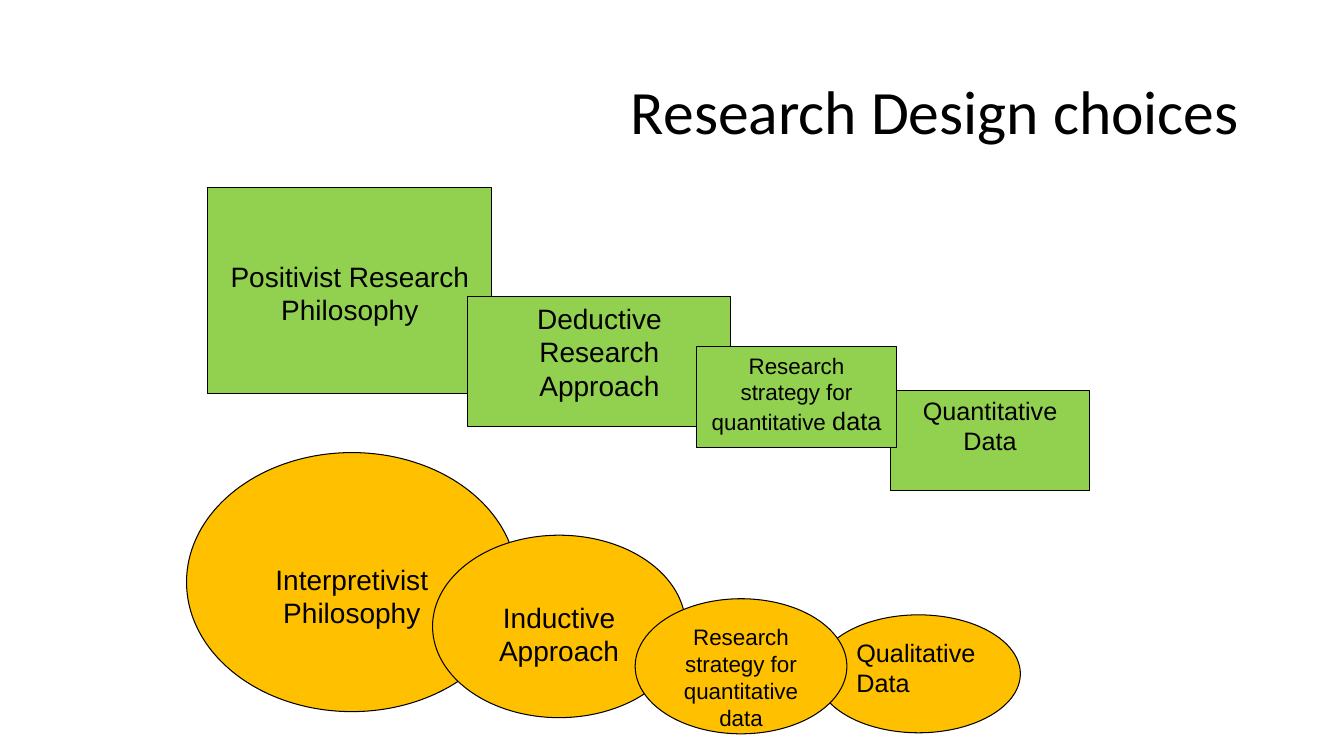
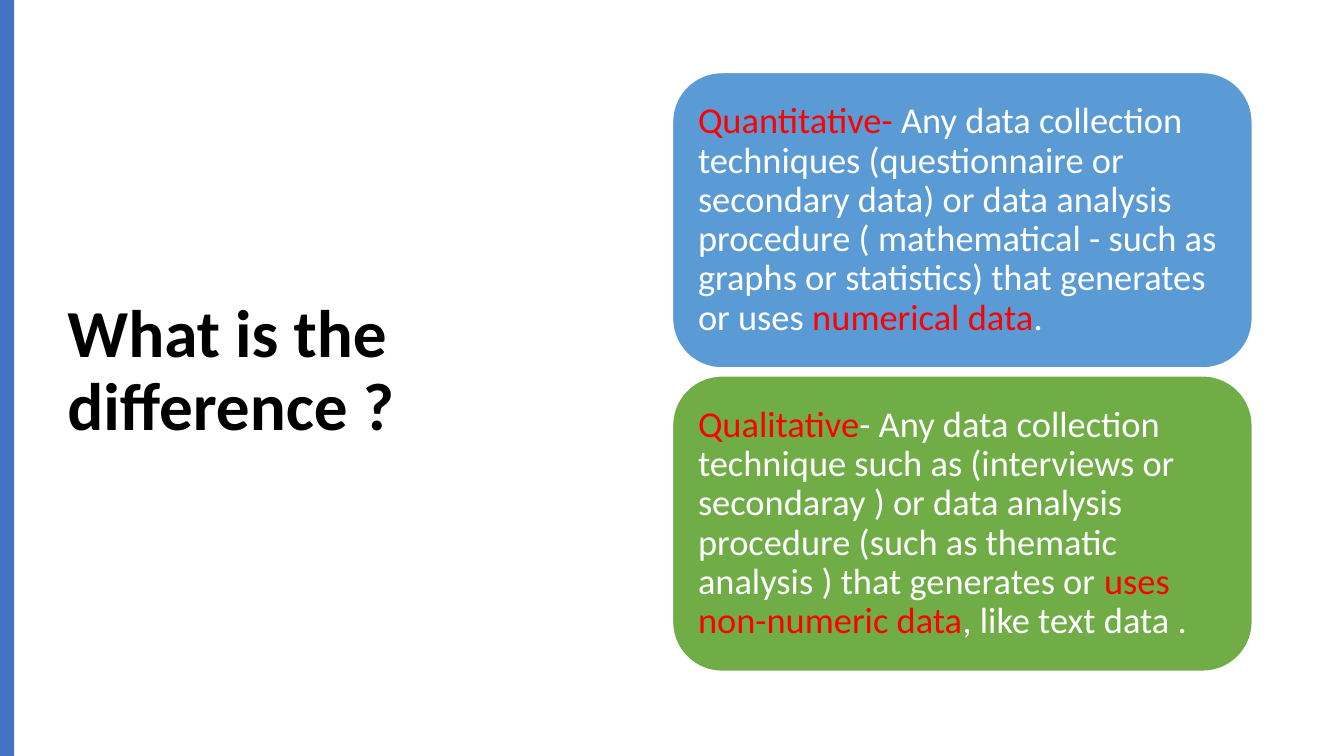
from dataclasses import dataclass

from pptx import Presentation
from pptx.dml.color import RGBColor
from pptx.enum.shapes import MSO_SHAPE
from pptx.enum.text import MSO_ANCHOR, PP_ALIGN
from pptx.util import Emu, Pt

RECTANGLE = MSO_SHAPE.RECTANGLE
ELLIPSE = MSO_SHAPE.OVAL
ROUNDED = MSO_SHAPE.ROUNDED_RECTANGLE
TOP, MIDDLE = MSO_ANCHOR.TOP, MSO_ANCHOR.MIDDLE
LEFT, CENTER = PP_ALIGN.LEFT, PP_ALIGN.CENTER

EMU_PER_PX = 9144  # 100 px to the inch
SLIDE_WIDTH, SLIDE_HEIGHT = 1333, 750


def px(length):
    return Emu(length * EMU_PER_PX)


@dataclass(frozen=True)
class Theme:
    black: str = "000000"
    white: str = "FFFFFF"
    highlight: str = "FF0000"
    positivist: str = "92D050"
    interpretivist: str = "FFC000"
    quantitative: str = "5B9BD5"
    qualitative: str = "70AD47"
    band: str = "4472C4"
    title_font: str = "Calibri"
    step_font: str = "Arial"
    title_size: int = 44
    big_title_size: int = 48
    card_size: int = 26
    large: int = 20
    medium: int = 18
    small: int = 16
    tight_lines: float = 0.9


THEME = Theme()


class Deck:
    """Holds the presentation, the theme and the slide being built."""

    def __init__(self, theme):
        self.theme = theme
        self.presentation = Presentation()
        self.presentation.slide_width = px(SLIDE_WIDTH)
        self.presentation.slide_height = px(SLIDE_HEIGHT)
        self.slide = None

    def new_slide(self):
        blank = self.presentation.slide_layouts[6]
        self.slide = self.presentation.slides.add_slide(blank)

    def shape(self, kind, box, fill, line=None, line_width=0.75):
        shape = self.slide.shapes.add_shape(kind, *map(px, box))
        shape.shadow.inherit = False
        shape.fill.solid()
        shape.fill.fore_color.rgb = RGBColor.from_string(fill)
        if line:
            shape.line.color.rgb = RGBColor.from_string(line)
            shape.line.width = Pt(line_width)
        else:
            shape.line.fill.background()
        return shape

    def set_text(self, shape, runs, font, align=LEFT, anchor=TOP,
                 insets=(10, 5, 10, 5), spacing=None, bold=False):
        """Fill a shape with one paragraph; runs are (text, size, colour)."""
        frame = shape.text_frame
        frame.word_wrap = True
        frame.vertical_anchor = anchor
        (frame.margin_left, frame.margin_top,
         frame.margin_right, frame.margin_bottom) = map(px, insets)
        paragraph = frame.paragraphs[0]
        paragraph.alignment = align
        if spacing:
            paragraph.line_spacing = spacing
        for text, size, color in runs:
            run = paragraph.add_run()
            run.text = text
            run.font.name = font
            run.font.size = Pt(size)
            run.font.bold = bold
            run.font.color.rgb = RGBColor.from_string(color)

    def title(self, text, box, size, bold=False):
        theme = self.theme
        shape = self.slide.shapes.add_textbox(*map(px, box))
        self.set_text(shape, [(text, size, theme.black)], theme.title_font,
                      anchor=MIDDLE, spacing=theme.tight_lines, bold=bold)

    def step(self, kind, box, fill, parts, text_top=5, align=CENTER):
        """Add an outlined step; parts are (text, size)."""
        theme = self.theme
        shape = self.shape(kind, box, fill, theme.black)
        runs = [(text, size, theme.black) for text, size in parts]
        self.set_text(shape, runs, theme.step_font, align,
                      insets=(10, text_top, 10, 5))

    def card(self, box, fill, parts):
        """Add a rounded card; parts are (text, highlighted)."""
        theme = self.theme
        shape = self.shape(ROUNDED, box, fill, theme.white, 1)
        runs = [(text, theme.card_size,
                 theme.highlight if highlighted else theme.white)
                for text, highlighted in parts]
        self.set_text(shape, runs, theme.title_font, anchor=MIDDLE,
                      insets=(11, 11, 11, 11), spacing=theme.tight_lines)


def build_design_choices(deck):
    theme = deck.theme
    green, amber = theme.positivist, theme.interpretivist
    large, medium, small = theme.large, theme.medium, theme.small
    deck.new_slide()
    deck.title("Research Design choices", (616, 41, 629, 145),
               theme.title_size)

    deck.step(RECTANGLE, (206, 186, 282, 204), green,
              [("Positivist Research Philosophy", large)], text_top=71)
    deck.step(RECTANGLE, (464, 294, 261, 129), green,
              [("Deductive Research Approach", large)])
    deck.step(RECTANGLE, (883, 387, 198, 100), green,
              [("Quantitative Data", medium)])
    deck.step(RECTANGLE, (691, 344, 198, 100), green,
              [("Research strategy for quantitative ", small),
               ("data", medium)])

    deck.step(ELLIPSE, (185, 449, 328, 257), amber,
              [("Interpretivist Philosophy", large)], text_top=71)
    deck.step(ELLIPSE, (429, 531, 251, 181), amber,
              [("Inductive Approach", large)], text_top=38)
    deck.step(ELLIPSE, (810, 610, 202, 117), amber,
              [("Qualitative Data", medium)], align=LEFT)
    deck.step(ELLIPSE, (630, 594, 210, 134), amber,
              [("Research strategy for quantitative data", small)])


def build_difference(deck):
    theme = deck.theme
    deck.new_slide()
    deck.title("What is the difference ?", (57, 68, 567, 602),
               theme.big_title_size, bold=True)
    deck.shape(RECTANGLE, (0, 0, 14, SLIDE_HEIGHT), theme.band)

    cards = [
        (theme.quantitative, [
            ("Quantitative- ", True),
            ("Any data collection techniques (questionnaire or secondary "
             "data) or data analysis procedure ( mathematical - such as "
             "graphs or statistics) that generates or uses ", False),
            ("numerical data", True),
            (".", False)]),
        (theme.qualitative, [
            ("Qualitative", True),
            ("- Any data collection technique such as (interviews or "
             "secondaray ) or data analysis procedure (such as thematic "
             "analysis ) that generates or ", False),
            ("uses non-numeric data", True),
            (", like text data .", False)]),
    ]
    card_top, card_height, gap = 72, 293, 8
    for index, (fill, parts) in enumerate(cards):
        top = card_top + index * (card_height + gap)
        deck.card((667, top, 575, card_height), fill, parts)


def main():
    deck = Deck(THEME)
    build_design_choices(deck)
    build_difference(deck)
    deck.presentation.save("out.pptx")


if __name__ == "__main__":
    main()
